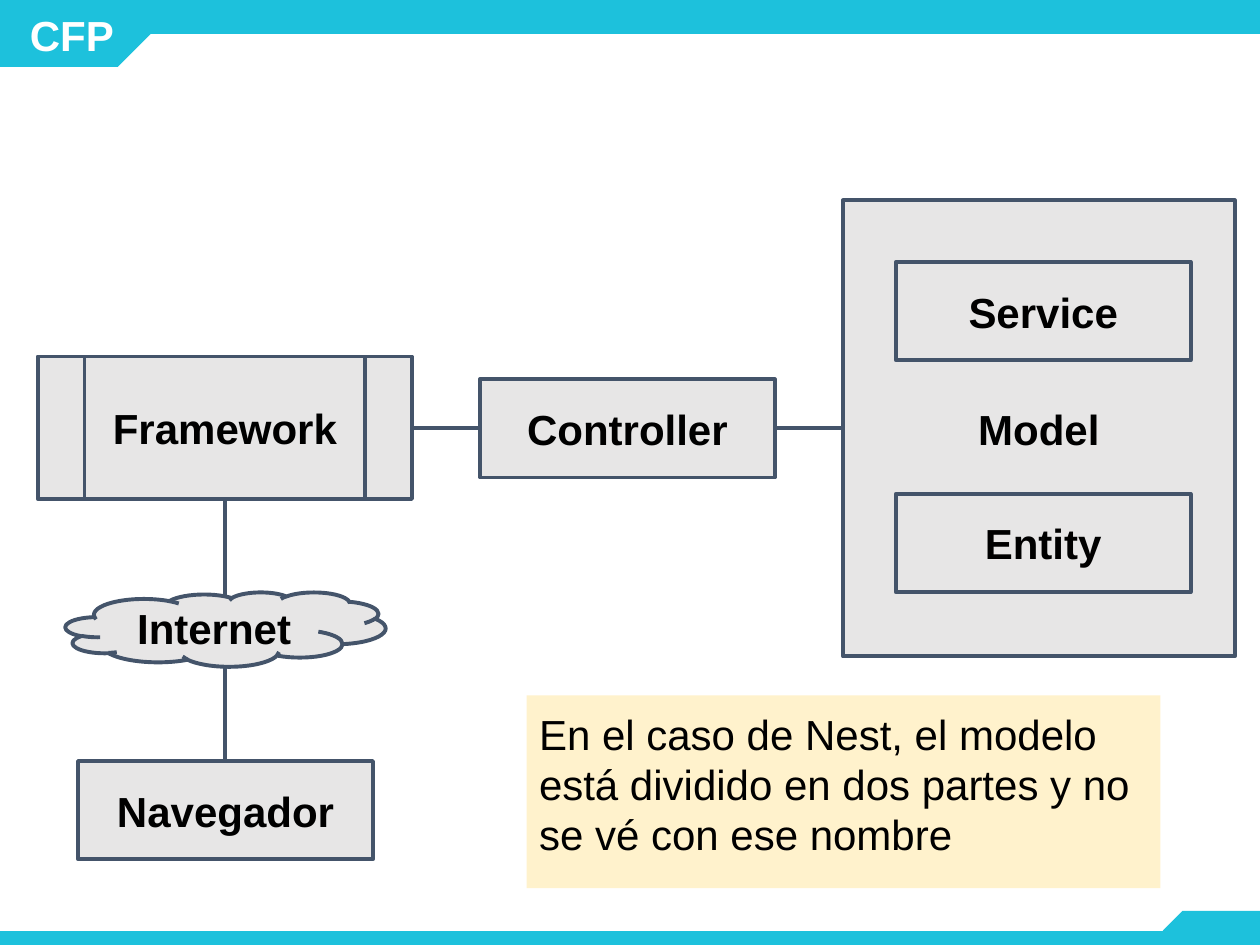
"""Builds the slide that places controller, service and entity around the framework."""
from dataclasses import dataclass

from lxml import etree
from pptx import Presentation
from pptx.dml.color import RGBColor
from pptx.enum.shapes import MSO_CONNECTOR, MSO_SHAPE
from pptx.enum.text import MSO_ANCHOR, PP_ALIGN
from pptx.oxml.ns import qn
from pptx.util import Inches, Pt

CYAN = RGBColor(0x1D, 0xC1, 0xDC)
GREY = RGBColor(0xE7, 0xE6, 0xE6)
SLATE = RGBColor(0x44, 0x54, 0x6A)
CREAM = RGBColor(0xFF, 0xF2, 0xCC)
BLACK = RGBColor(0, 0, 0)
WHITE = RGBColor(0xFF, 0xFF, 0xFF)

RECT = MSO_SHAPE.RECTANGLE
SNIPPED = MSO_SHAPE.SNIP_1_RECTANGLE
PROCESS = MSO_SHAPE.FLOWCHART_PREDEFINED_PROCESS
CLOUD = MSO_SHAPE.CLOUD
STRAIGHT = MSO_CONNECTOR.STRAIGHT
MIDDLE, TOP = MSO_ANCHOR.MIDDLE, MSO_ANCHOR.TOP
CENTER, LEFT = PP_ALIGN.CENTER, PP_ALIGN.LEFT

COLUMNS, ROWS = 100, 75
SLIDE_WIDTH, SLIDE_HEIGHT = Inches(10), Inches(7.5)
LINE_WIDTH = Pt(2.25)
BOX_COLUMNS, BOX_ROWS = 23.4, 7.8


@dataclass(frozen=True)
class Area:
    """A rectangle in grid columns and rows."""
    column: float
    row: float
    columns: float = BOX_COLUMNS
    rows: float = BOX_ROWS

    @property
    def right(self) -> float:
        return self.column + self.columns

    @property
    def bottom(self) -> float:
        return self.row + self.rows

    @property
    def center(self) -> float:
        return self.column + self.columns / 2

    @property
    def middle(self) -> float:
        return self.row + self.rows / 2

    def emu(self) -> tuple[int, int, int, int]:
        return across(self.column), down(self.row), across(self.columns), down(self.rows)


@dataclass(frozen=True)
class Block:
    """A labelled part of the architecture."""
    label: str
    area: Area
    outline: int = RECT


def across(columns: float) -> int:
    """Convert grid columns to a length."""
    return round(SLIDE_WIDTH * columns / COLUMNS)


def down(rows: float) -> int:
    """Convert grid rows to a length."""
    return round(SLIDE_HEIGHT * rows / ROWS)


def add_panel(slide, area: Area, fill: RGBColor, outline: int = RECT):
    """Draw a flat filled shape without a border."""
    panel = slide.shapes.add_shape(outline, *area.emu())
    panel.shadow.inherit = False
    panel.fill.solid()
    panel.fill.fore_color.rgb = fill
    panel.line.fill.background()
    return panel


def add_snipped_tab(slide, area: Area, rotation: int = 0) -> None:
    """Draw a mirrored tab with one cut corner."""
    tab = add_panel(slide, area, CYAN, SNIPPED)
    tab.adjustments[0] = 0.5
    tab.rotation = rotation
    tab._element.spPr.get_or_add_xfrm().set("flipH", "1")


def write(shape, text: str, color: RGBColor = BLACK, bold: bool = True,
          align: int = CENTER, anchor: int = MIDDLE) -> None:
    """Put formatted text into a shape."""
    frame = shape.text_frame
    frame.word_wrap = True
    frame.vertical_anchor = anchor
    frame.margin_left = frame.margin_right = Inches(0.1)
    frame.margin_top = frame.margin_bottom = Inches(0.1)
    frame.text = text
    paragraph = frame.paragraphs[0]
    paragraph.alignment = align
    font = paragraph.runs[0].font
    font.name, font.size, font.bold = "Arial", Pt(24), bold
    font.color.rgb = color


def add_block(slide, block: Block) -> None:
    """Draw one bordered, labelled block."""
    shape = add_panel(slide, block.area, GREY, block.outline)
    shape.line.color.rgb = SLATE
    shape.line.width = LINE_WIDTH
    write(shape, block.label)


def add_link(slide, start: tuple[float, float], end: tuple[float, float]) -> None:
    """Draw a straight link between two grid points."""
    link = slide.shapes.add_connector(
        STRAIGHT, across(start[0]), down(start[1]), across(end[0]), down(end[1]))
    link.line.color.rgb = SLATE
    link.line.width = LINE_WIDTH
    etree.SubElement(link._element.spPr, qn("a:effectLst"))


def add_frame(slide) -> None:
    """Draw the header and footer bands with the course mark."""
    add_panel(slide, Area(0, 73.9, COLUMNS, 1.6), CYAN)
    add_snipped_tab(slide, Area(92.3, 72.3, 7.7, 3.1))
    add_panel(slide, Area(11.2, 0, 88.8, 2.7), CYAN)
    add_snipped_tab(slide, Area(0, 0, 12, 5.3), rotation=180)
    course = slide.shapes.add_textbox(*Area(0.7, 0.4, 10, 4.7).emu())
    write(course, "CFP", WHITE)


def main() -> None:
    """Build and save the slide."""
    presentation = Presentation()
    presentation.slide_width, presentation.slide_height = SLIDE_WIDTH, SLIDE_HEIGHT
    slide = presentation.slides.add_slide(presentation.slide_layouts[6])
    add_frame(slide)

    model = Block("Model", Area(66.9, 15.9, 31.1, 36.2))
    controller = Block("Controller", Area(38.1, 30.1))
    service = Block("Service", Area(71.1, 20.8))
    entity = Block("Entity", Area(71.1, 39.2))
    browser = Block("Navegador", Area(6.2, 60.4))
    framework = Block("Framework", Area(3, 28.3, 29.7, 11.3), PROCESS)
    internet = Block("Internet", Area(5.2, 47, 25.4, 5.9), CLOUD)
    for block in (model, controller, service, entity, browser, framework, internet):
        add_block(slide, block)

    for source, target in ((framework, controller), (controller, model)):
        level = controller.area.middle
        add_link(slide, (source.area.right, level), (target.area.column, level))
    cloud_inset = 0.4
    trunk = framework.area.center
    add_link(slide, (trunk, framework.area.bottom), (trunk, internet.area.row + cloud_inset))
    add_link(slide, (trunk, internet.area.bottom), (trunk, browser.area.row))

    note = add_panel(slide, Area(41.8, 55.2, 50.3, 15.3), CREAM)
    write(note, "En el caso de Nest, el modelo está dividido en dos partes "
                "y no se vé con ese nombre", bold=False, align=LEFT, anchor=TOP)
    presentation.save("out.pptx")


if __name__ == "__main__":
    main()
